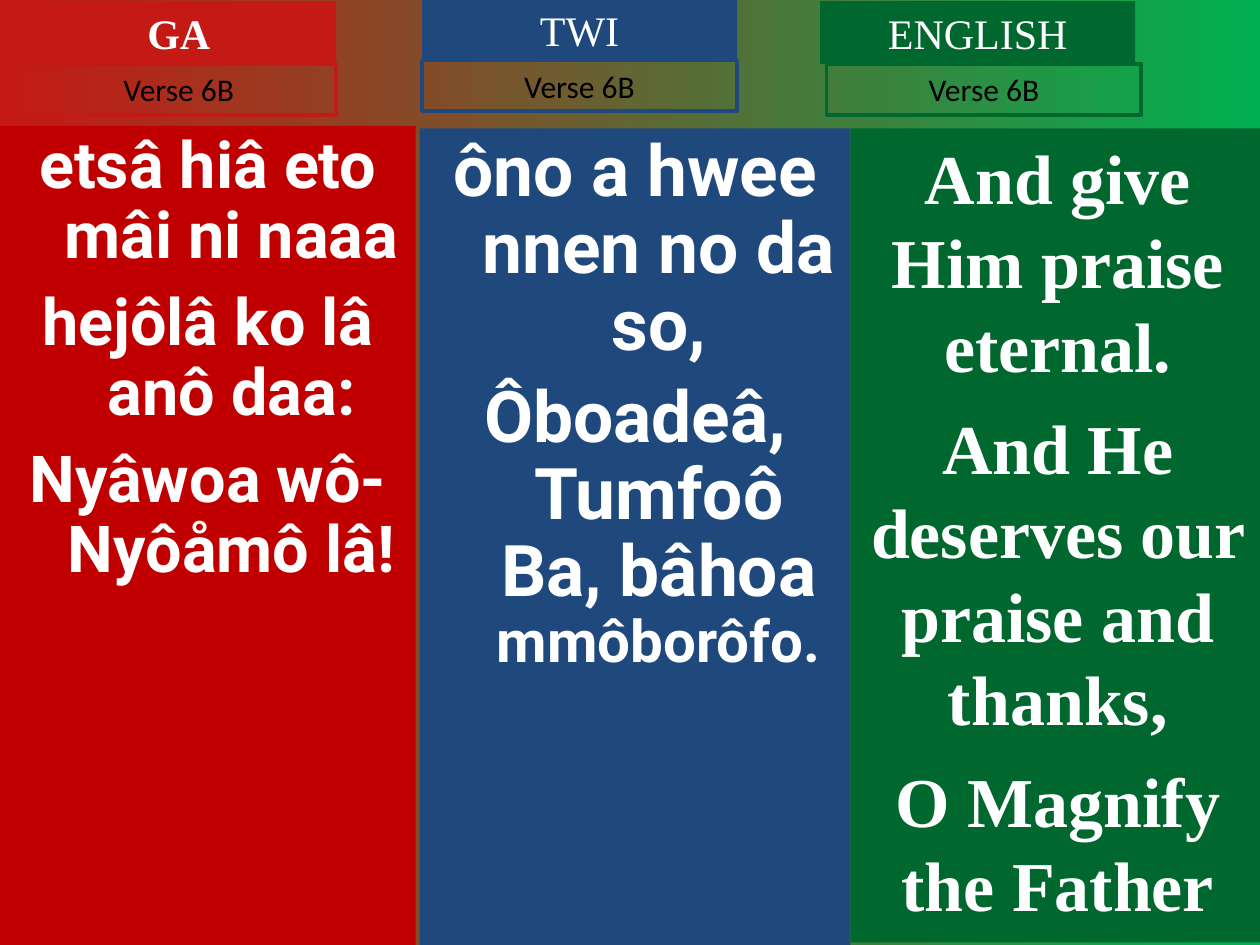
"""Build a hymn slide with verse 6B side by side in Ga, Twi and English."""
from pptx import Presentation
from pptx.dml.color import RGBColor as RGB
from pptx.enum.shapes import MSO_SHAPE as SHAPE
from pptx.enum.text import MSO_ANCHOR as ANCHOR, PP_ALIGN as ALIGN
from pptx.util import Pt

THEME = {
    "red": "C51915", "dark_red": "C00000", "blue": "1F497D", "green": "00682F",
    "bright_green": "00B050", "white": "FFFFFF", "black": "000000",
    "serif": "Times New Roman", "sans": "Calibri", "lyric": "Roboto",
    "title": 24, "verse": 18, "ga": 37, "twi": 40.7, "twi_small": 33.3, "english": 40,
}


def add_box(left, top, width, height, fill=None, line=None):
    sp = s.shapes.add_shape(SHAPE.RECTANGLE, Pt(left), Pt(top), Pt(width), Pt(height))
    sp.shadow.inherit = False
    if fill:
        sp.fill.solid()
        sp.fill.fore_color.rgb = RGB.from_string(THEME[fill])
    else:
        sp.fill.background()
    if line:
        sp.line.color.rgb = RGB.from_string(THEME[line])
        sp.line.width = Pt(2.25)
    else:
        sp.line.fill.background()
    tf = sp.text_frame
    tf.word_wrap = True
    tf.vertical_anchor = ANCHOR.TOP
    return tf


def add_run(p, text, size, font, color="white", bold=False):
    p.alignment = ALIGN.CENTER
    r = p.add_run()
    r.text = text
    r.font.size = Pt(THEME[size])
    r.font.name = THEME[font]
    r.font.bold = bold
    r.font.color.rgb = RGB.from_string(THEME[color])


prs = Presentation()
prs.slide_width, prs.slide_height = Pt(720), Pt(540)
s = prs.slides.add_slide(prs.slide_layouts[6])

bg = s.background.fill
bg.gradient()
bg.gradient_angle = 0
for stop, color in zip(bg.gradient_stops, ("red", "bright_green")):
    stop.color.rgb = RGB.from_string(THEME[color])

lyrics = [
    ((0, 72, 237.6, 468), "dark_red", "lyric", 0.9, 27, 10, [
        [("etsâ hiâ eto mâi ni naaa", "ga")],
        [("hejôlâ ko lâ anô daa:", "ga")],
        [("Nyâwoa wô-Nyôåmô lâ!", "ga")],
    ]),
    ((239.8, 73.4, 246.2, 466.6), "blue", "lyric", 0.9, 27, 9, [
        [("ôno a hwee nnen no da so,", "twi")],
        [("Ôboadeâ, Tumfoô Ba, bâhoa ", "twi"), ("mmôborôfo.", "twi_small")],
    ]),
    ((486, 73.4, 236.9, 465.1), "green", "serif", 1.0, 0, 10, [
        [("And give Him praise eternal.", "english")],
        [("And He deserves our praise and thanks,", "english")],
        [("O Magnify the Father", "english")],
    ]),
]
for frame, fill, font, spacing, hang, gap, paragraphs in lyrics:
    tf = add_box(*frame, fill=fill)
    for i, runs in enumerate(paragraphs):
        p = tf.add_paragraph() if i else tf.paragraphs[0]
        p.line_spacing = spacing
        p.space_before = Pt(gap if i else 0)
        pPr = p._p.get_or_add_pPr()
        pPr.set("marL", str(Pt(hang)))
        pPr.set("indent", str(-Pt(hang)))
        for text, size in runs:
            add_run(p, text, size, font, bold=True)

headings = [
    ("GA", "red", True, 12.2, 0.7, 12.2, 36.7),
    ("TWI", "blue", False, 241.2, -0.7, 241.2, 34.6),
    ("ENGLISH", "green", False, 468.7, 0.7, 472.3, 36.7),
]
for name, color, bold, left, top, verse_left, verse_top in headings:
    tf = add_box(left, top, 180, 36, fill=color)
    add_run(tf.paragraphs[0], name, "title", "serif", bold=bold)
    tf = add_box(verse_left, verse_top, 180, 28.8, line=color)
    add_run(tf.paragraphs[0], "Verse 6B", "verse", "sans", "black")

prs.save("out.pptx")
